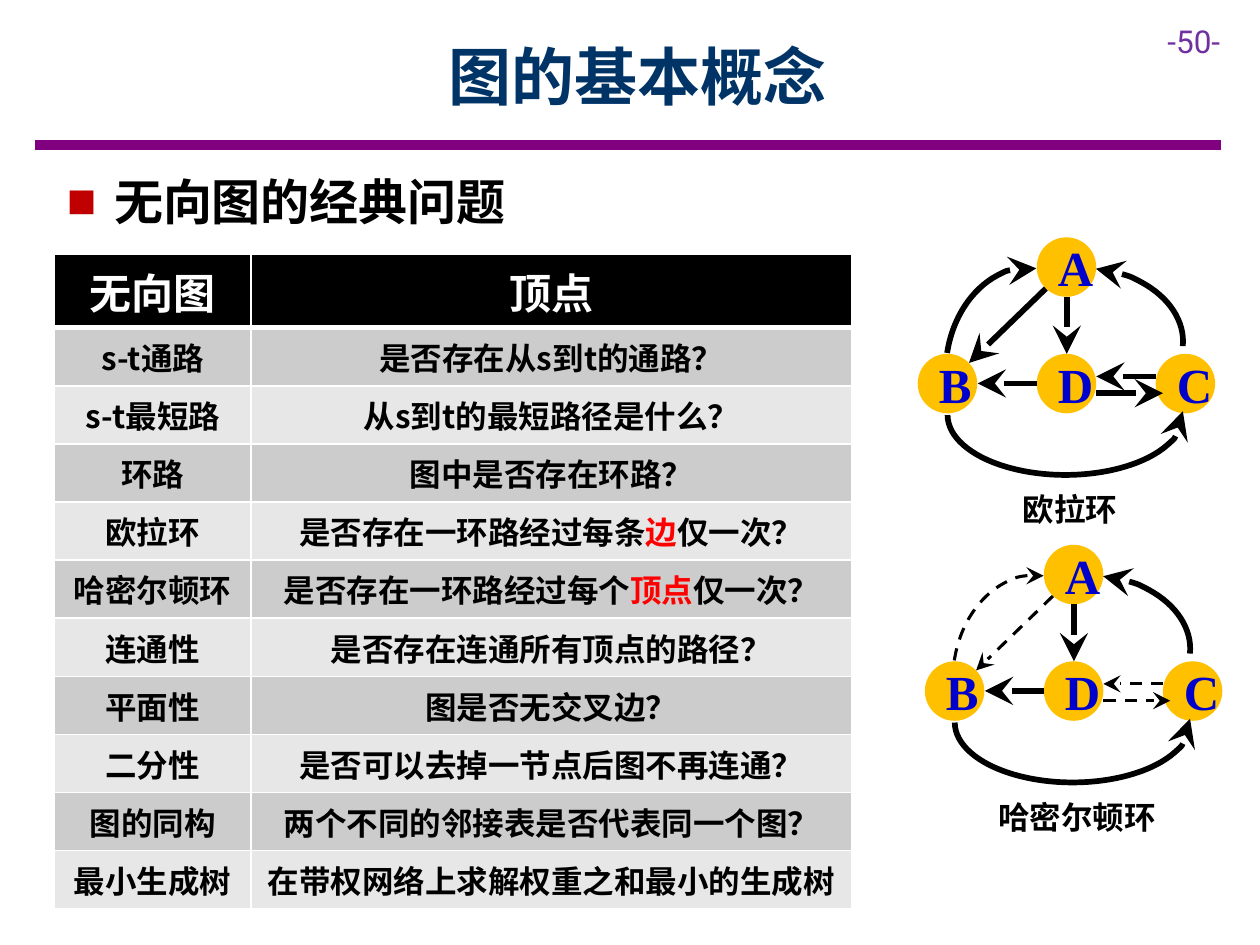
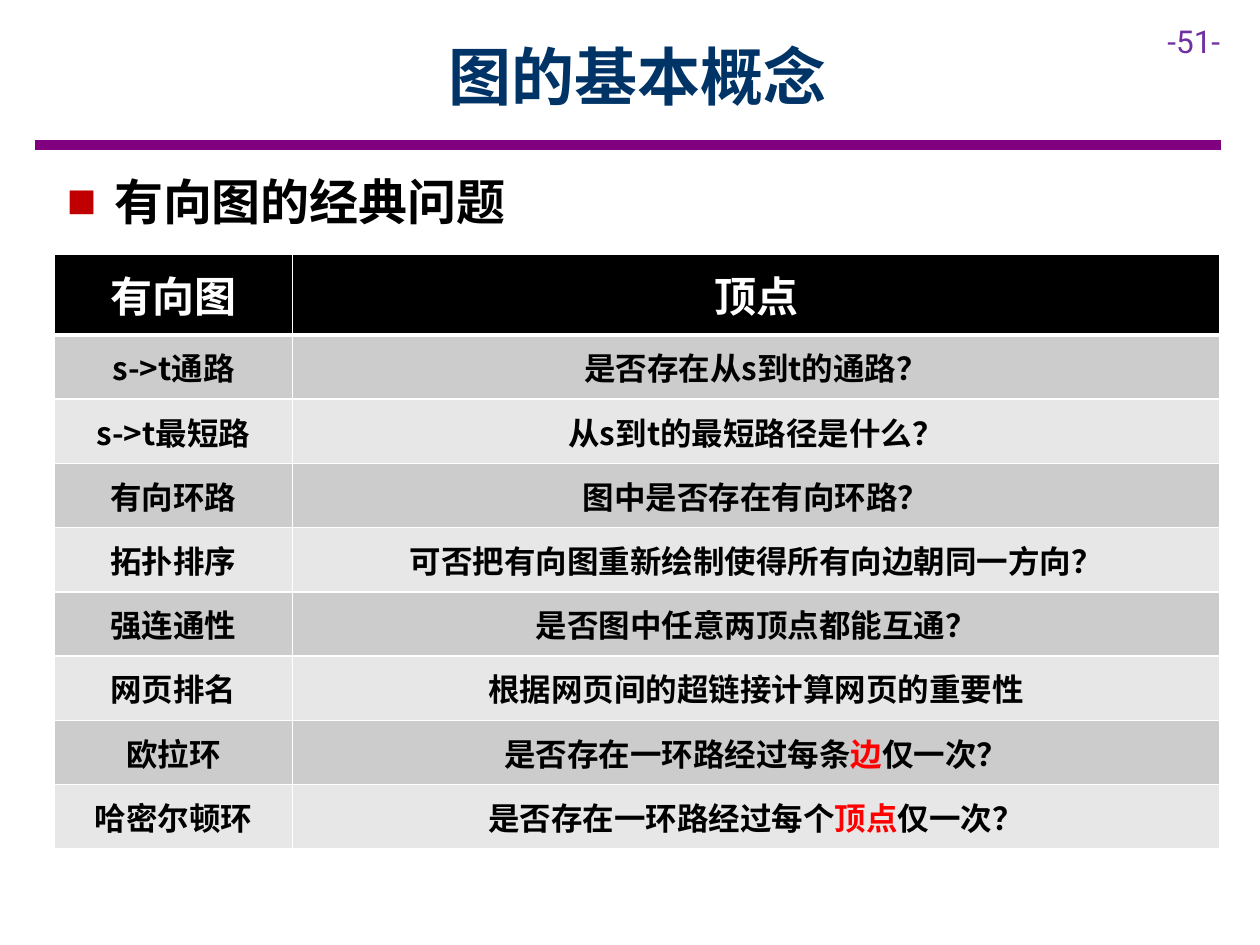
from dataclasses import dataclass

from lxml import etree
from pptx import Presentation
from pptx.dml.color import RGBColor
from pptx.enum.dml import MSO_LINE
from pptx.enum.shapes import MSO_CONNECTOR, MSO_SHAPE
from pptx.enum.text import MSO_ANCHOR, MSO_AUTO_SIZE, PP_ALIGN
from pptx.oxml.ns import qn
from pptx.util import Pt

CENTER, LEFT = PP_ALIGN.CENTER, PP_ALIGN.LEFT
MIDDLE, TOP = MSO_ANCHOR.MIDDLE, MSO_ANCHOR.TOP
NO_AUTOFIT = MSO_AUTO_SIZE.NONE
STRAIGHT = MSO_CONNECTOR.STRAIGHT
OVAL, ARC = MSO_SHAPE.OVAL, MSO_SHAPE.ARC
DASH = MSO_LINE.DASH


@dataclass(frozen=True)
class Theme:
    sans: str = "Noto Sans CJK SC"
    serif: str = "Times New Roman"
    number_font: str = "Roboto"
    title: str = "003366"
    rule: str = "800080"
    number: str = "7030A0"
    bullet: str = "C00000"
    black: str = "000000"
    white: str = "FFFFFF"
    mark: str = "FF0000"
    node: str = "FFC000"
    node_letter: str = "0000CC"
    bands: tuple = ("CCCCCC", "E7E7E7")
    title_size: int = 36
    list_size: int = 28
    header_size: int = 24
    text_size: int = 18
    solid_edge: float = 3.25
    dashed_edge: float = 1.75


THEME = Theme()

SLIDES = [
    {
        "number": "-50-",
        "topic": "无向图的经典问题",
        "columns": (112.5, 343.2),
        "row_heights": (41.9, 33.22),
        "rows": [
            ("无向图", "顶点"),
            ("s-t通路", "是否存在从s到t的通路？"),
            ("s-t最短路", "从s到t的最短路径是什么？"),
            ("环路", "图中是否存在环路？"),
            ("欧拉环", "是否存在一环路经过每条|边|仅一次？"),
            ("哈密尔顿环", "是否存在一环路经过每个|顶点|仅一次？"),
            ("连通性", "是否存在连通所有顶点的路径？"),
            ("平面性", "图是否无交叉边？"),
            ("二分性", "是否可以去掉一节点后图不再连通？"),
            ("图的同构", "两个不同的邻接表是否代表同一个图？"),
            ("最小生成树", "在带权网络上求解权重之和最小的生成树"),
        ],
        # caption, left, top, dashed edges
        "graphs": [
            ("欧拉环", 524.9, 135.2, ()),
            ("哈密尔顿环", 529, 310.9, ("AB", "CD", "DC", "BA")),
        ],
    },
    {
        "number": "-51-",
        "topic": "有向图的经典问题",
        "columns": (136.1, 529.9),
        "row_heights": (46, 36.72),
        "rows": [
            ("有向图", "顶点"),
            ("s->t通路", "是否存在从s到t的通路？"),
            ("s->t最短路", "从s到t的最短路径是什么？"),
            ("有向环路", "图中是否存在有向环路？"),
            ("拓扑排序", "可否把有向图重新绘制使得所有向边朝同一方向？"),
            ("强连通性", "是否图中任意两顶点都能互通？"),
            ("网页排名", "根据网页间的超链接计算网页的重要性"),
            ("欧拉环", "是否存在一环路经过每条|边|仅一次？"),
            ("哈密尔顿环", "是否存在一环路经过每个|顶点|仅一次？"),
        ],
        "graphs": [],
    },
]

# Graph geometry in points, relative to the left and top of each graph
NODE_SIZE = 34
NODES = {"A": (67.5, 0.4), "B": (-0.5, 67), "D": (67.5, 67), "C": (135.5, 67)}
STRAIGHT_EDGES = {
    "AD": (84.7, 34.5, 84.7, 67),
    "DB": (67.7, 83.9, 33.8, 83.9),
    "AB": (72.7, 29.7, 28.8, 72.2),
    "CD": (135.8, 79.9, 101.5, 79.9),
    "DC": (101.5, 89.5, 139.7, 89.5),
}
# box, rotation, flip, start and end adjustment
ARC_EDGES = {
    "BA": ((3.6, 29.7, 110.9, 86.4), 278.6, None, None),
    "CA": ((58.3, 3.8, 78.5, 107.3), 275.5, "flipV", None),
    "BC": ((49.7, 34.7, 68.4, 134.6), 270, "flipH", (162, 55.13)),
}


def write(text_frame, text, font, size, color, bold=True, align=CENTER, anchor=MIDDLE):
    """Fill a text frame; the part between two bars takes the mark colour."""
    text_frame.vertical_anchor = anchor
    paragraph = text_frame.paragraphs[0]
    paragraph.alignment = align
    paragraph.space_before = Pt(0)
    for index, part in enumerate(text.split("|")):
        run = paragraph.add_run()
        run.text = part
        run.font.size, run.font.bold, run.font.name = Pt(size), bold, font
        run.font.color.rgb = RGBColor.from_string(THEME.mark if index % 2 else color)
        etree.SubElement(run.font._element, qn("a:ea"), typeface=font)
    return paragraph


def draw_edge(shape, dashed):
    """Style a line or an arc as an arrow."""
    shape.line.color.rgb = RGBColor.from_string(THEME.black)
    shape.line.width = Pt(THEME.dashed_edge if dashed else THEME.solid_edge)
    if dashed:
        shape.line.dash_style = DASH
    etree.SubElement(shape.line._get_or_add_ln(), qn("a:tailEnd"),
                     type="stealth", w="lg", len="lg")
    etree.SubElement(shape._element.spPr, qn("a:effectLst"))


presentation = Presentation()
presentation.slide_width, presentation.slide_height = Pt(720), Pt(540)

for content in SLIDES:
    slide = presentation.slides.add_slide(presentation.slide_layouts[1])
    shapes = slide.shapes

    # Shared frame: rule, page number, title
    rule = shapes.add_connector(STRAIGHT, Pt(19.8), Pt(82.9), Pt(697.7), Pt(82.9))
    rule.line.color.rgb = RGBColor.from_string(THEME.rule)
    rule.line.width = Pt(6)
    etree.SubElement(rule._element.spPr, qn("a:effectLst"))

    number = shapes.add_textbox(Pt(660), Pt(9), Pt(60), Pt(28.8))
    number.text_frame.word_wrap = True
    write(number.text_frame, content["number"], THEME.number_font, THEME.text_size,
          THEME.number, bold=False, align=LEFT, anchor=TOP)

    title = shapes.title
    title.left, title.top, title.width, title.height = Pt(65.3), Pt(7), Pt(598.3), Pt(72)
    title.text_frame.auto_size = NO_AUTOFIT
    write(title.text_frame, "图的基本概念", THEME.sans, THEME.title_size, THEME.title)

    # Topic line with its square bullet
    topic = slide.placeholders[1]
    topic.left, topic.top, topic.width, topic.height = Pt(31), Pt(94.3), Pt(408.2), Pt(41)
    topic.text_frame.auto_size = NO_AUTOFIT
    paragraph = write(topic.text_frame, content["topic"], THEME.sans, THEME.list_size,
                      THEME.black, align=LEFT, anchor=TOP)
    paragraph.space_after = Pt(3)
    properties = paragraph._p.get_or_add_pPr()
    properties.set("marL", str(Pt(27)))
    properties.set("indent", str(-Pt(27)))
    bullet_color = etree.SubElement(properties, qn("a:buClr"))
    etree.SubElement(bullet_color, qn("a:srgbClr"), val=THEME.bullet)
    etree.SubElement(properties, qn("a:buFont"), typeface=THEME.serif)
    etree.SubElement(properties, qn("a:buChar"), char="■")

    # Table of problems
    rows, columns = content["rows"], content["columns"]
    header_height, row_height = content["row_heights"]
    table_height = header_height + row_height * (len(rows) - 1)
    table = shapes.add_table(len(rows), len(columns), Pt(31), Pt(145.4),
                             Pt(sum(columns)), Pt(table_height)).table
    for column, width in zip(table.columns, columns):
        column.width = Pt(width)
    for row_index, texts in enumerate(rows):
        is_header = row_index == 0
        table.rows[row_index].height = Pt(header_height if is_header else row_height)
        fill = THEME.black if is_header else THEME.bands[(row_index - 1) % 2]
        thick_side = {0: "lnB", 1: "lnT"}.get(row_index)
        for column_index, text in enumerate(texts):
            cell = table.cell(row_index, column_index)
            for side in ("lnL", "lnR", "lnT", "lnB"):
                border = etree.SubElement(cell._tc.get_or_add_tcPr(), qn(f"a:{side}"),
                                          w=str(Pt(3 if side == thick_side else 1)))
                border_fill = etree.SubElement(border, qn("a:solidFill"))
                etree.SubElement(border_fill, qn("a:srgbClr"), val=THEME.white)
            cell.fill.solid()
            cell.fill.fore_color.rgb = RGBColor.from_string(fill)
            cell.vertical_anchor = MIDDLE
            write(cell.text_frame, text, THEME.sans,
                  THEME.header_size if is_header else THEME.text_size,
                  THEME.white if is_header else THEME.black)

    # Example graphs
    for caption, left, top, dashed_edges in content["graphs"]:
        for letter, (x, y) in NODES.items():
            node = shapes.add_shape(OVAL, Pt(left + x), Pt(top + y),
                                    Pt(NODE_SIZE), Pt(NODE_SIZE))
            node.shadow.inherit = False
            node.fill.solid()
            node.fill.fore_color.rgb = RGBColor.from_string(THEME.node)
            node.line.fill.background()
            frame = node.text_frame
            frame.margin_left = frame.margin_right = Pt(7.2)
            frame.margin_top = frame.margin_bottom = Pt(7.2)
            write(frame, letter, THEME.serif, THEME.list_size, THEME.node_letter)

        for name, (x1, y1, x2, y2) in STRAIGHT_EDGES.items():
            edge = shapes.add_connector(STRAIGHT, Pt(left + x1), Pt(top + y1),
                                        Pt(left + x2), Pt(top + y2))
            draw_edge(edge, name in dashed_edges)

        for name, ((x, y, width, height), rotation, flip, angles) in ARC_EDGES.items():
            edge = shapes.add_shape(ARC, Pt(left + x), Pt(top + y), Pt(width), Pt(height))
            edge.rotation = rotation
            if flip:
                edge._element.spPr.xfrm.set(flip, "1")
            if angles:
                edge.adjustments[0], edge.adjustments[1] = angles
            edge.fill.background()
            draw_edge(edge, name in dashed_edges)

        label = shapes.add_textbox(Pt(left + 34), Pt(top + 141.3), Pt(105), Pt(28.8))
        label.text_frame.word_wrap = False
        write(label.text_frame, caption, THEME.sans, THEME.text_size, THEME.black, anchor=TOP)

presentation.save("out.pptx")
